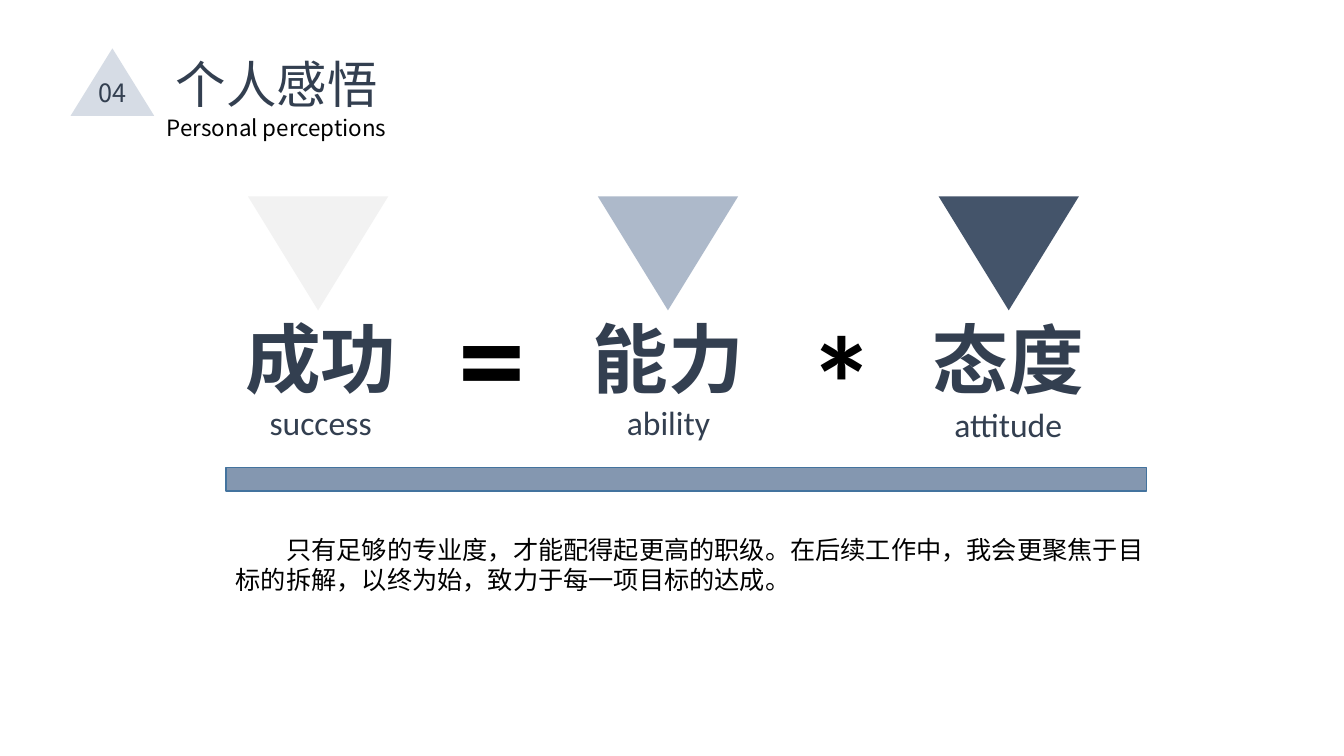
from pptx import Presentation
from pptx.dml.color import RGBColor
from pptx.enum.shapes import MSO_SHAPE
from pptx.enum.text import MSO_ANCHOR, PP_ALIGN
from pptx.oxml.ns import qn
from pptx.util import Inches, Pt

TRIANGLE, RECTANGLE = MSO_SHAPE.ISOSCELES_TRIANGLE, MSO_SHAPE.RECTANGLE
LEFT, CENTER, TOP = PP_ALIGN.LEFT, PP_ALIGN.CENTER, MSO_ANCHOR.TOP
LATIN, CJK = "Calibri", "Noto Sans CJK SC"
COLORS = {
    "ink": "333F50", "black": "000000", "badge": "D6DCE5", "pale": "F2F2F2",
    "mid": "ADB9CA", "dark": "44546A", "bar": "8497B0", "bar_edge": "43739E",
}

presentation = Presentation()
presentation.slide_width, presentation.slide_height = Inches(13.33), Inches(7.5)
slide = presentation.slides.add_slide(presentation.slide_layouts[5])


def write(shape, box, text, styles, align=CENTER):
    """Place a text shape and format its runs, one (size, color, bold, font) each."""
    shape.left, shape.top, shape.width, shape.height = map(Inches, box)
    frame = shape.text_frame
    frame.text = text
    frame.word_wrap = True
    frame.vertical_anchor = TOP
    runs = []
    for paragraph in frame.paragraphs:
        paragraph.alignment = align
        runs += paragraph.runs
    for run, (size, color, bold, font) in zip(runs, styles):
        run.font.size, run.font.bold, run.font.name = Pt(size), bold, font
        run.font.color.rgb = RGBColor.from_string(COLORS[color])
        east_asian = run.font._element.makeelement(qn("a:ea"), {"typeface": CJK})
        run.font._element.find(qn("a:latin")).addnext(east_asian)
    return frame


def draw(kind, box, fill, edge=None):
    """Add a flat filled shape, outlined only when an edge color is given."""
    shape = slide.shapes.add_shape(kind, *map(Inches, box))
    shape.shadow.inherit = False
    shape.fill.solid()
    shape.fill.fore_color.rgb = RGBColor.from_string(COLORS[fill])
    if edge:
        shape.line.color.rgb = RGBColor.from_string(COLORS[edge])
        shape.line.width = Pt(1)
    else:
        shape.line.fill.background()
    return shape


# Heading with its numbered badge
write(slide.shapes.title, (1.11, 0.48, 3.27, 0.98), "个人感悟\vPersonal perceptions",
      [(36, "ink", False, LATIN), (16, "black", False, CJK)])
draw(TRIANGLE, (0.7, 0.48, 0.83, 0.67), "badge")
write(slide.shapes.add_textbox(0, 0, 0, 0), (0.7, 0.72, 0.83, 0.4), "04",
      [(18, "ink", False, CJK)])

# Terms of the equation, each under a downward triangle
terms = [
    ("成功", "success", 2.29, 3.04, 2.46, "pale"),
    ("能力", "ability", 5.74, 3.04, 5.93, "mid"),
    ("态度", "attitude", 9.11, 3.06, 9.31, "dark"),
]
for chinese, english, left, top, triangle_left, fill in terms:
    triangle = draw(TRIANGLE, (triangle_left, 1.95, 1.39, 1.13), fill)
    triangle._element.spPr.xfrm.set("flipV", "1")
    write(slide.shapes.add_textbox(0, 0, 0, 0), (left, top, 1.78, 1.41),
          f"{chinese}\n{english}",
          [(54, "ink", True, LATIN), (24, "ink", False, LATIN)])

# Operators between the terms
for symbol, left, top in [("=", 4.45, 2.65), ("*", 7.92, 2.91)]:
    write(slide.shapes.add_textbox(0, 0, 0, 0), (left, top, 1.68, 1.72), symbol,
          [(96, "black", True, LATIN)], LEFT)

# Divider bar and closing remark
draw(RECTANGLE, (2.24, 4.64, 9.13, 0.23), "bar", "bar_edge")
remark = write(
    slide.shapes.add_textbox(0, 0, 0, 0), (2.24, 5.25, 9.21, 0.71),
    "只有足够的专业度，才能配得起更高的职级。在后续工作中，我会更聚焦于目标的拆解，"
    "以终为始，致力于每一项目标的达成。",
    [(18, "black", False, LATIN)], LEFT)
remark.paragraphs[0]._p.get_or_add_pPr().set("indent", str(Inches(0.5)))

presentation.save("out.pptx")
